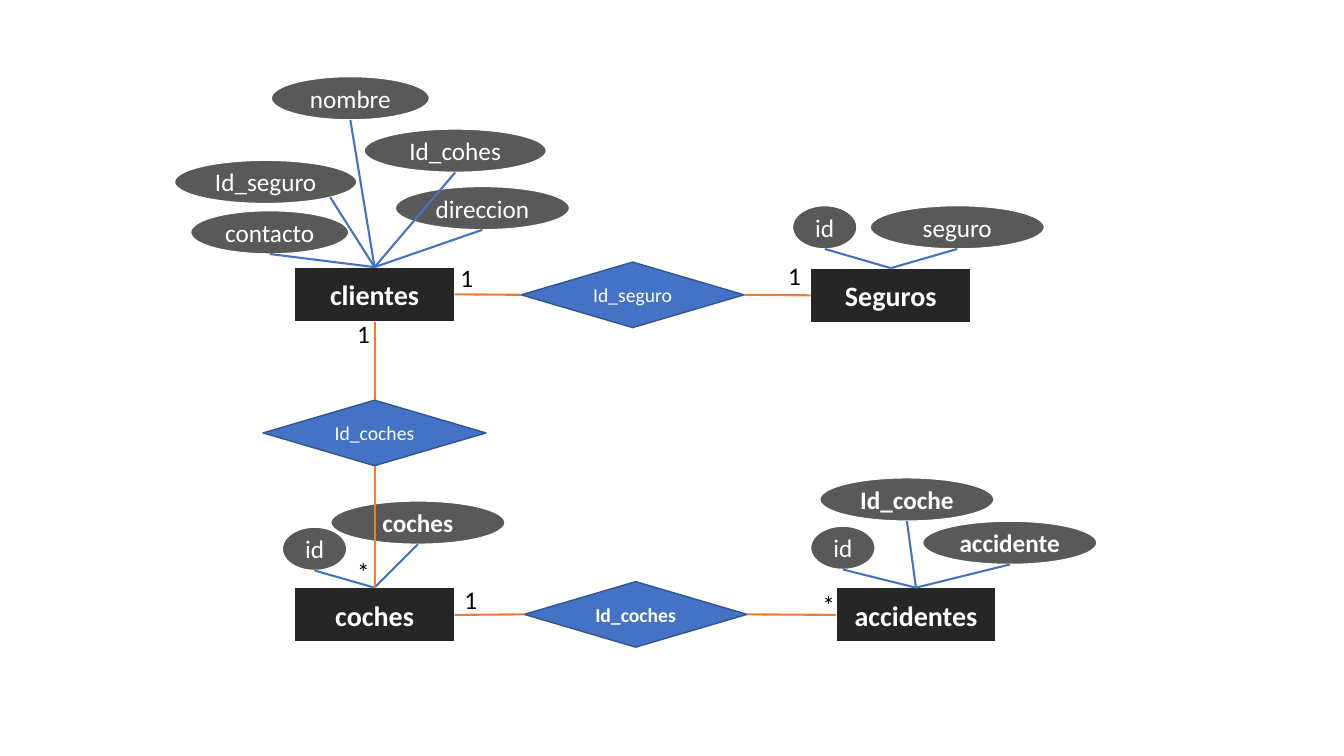
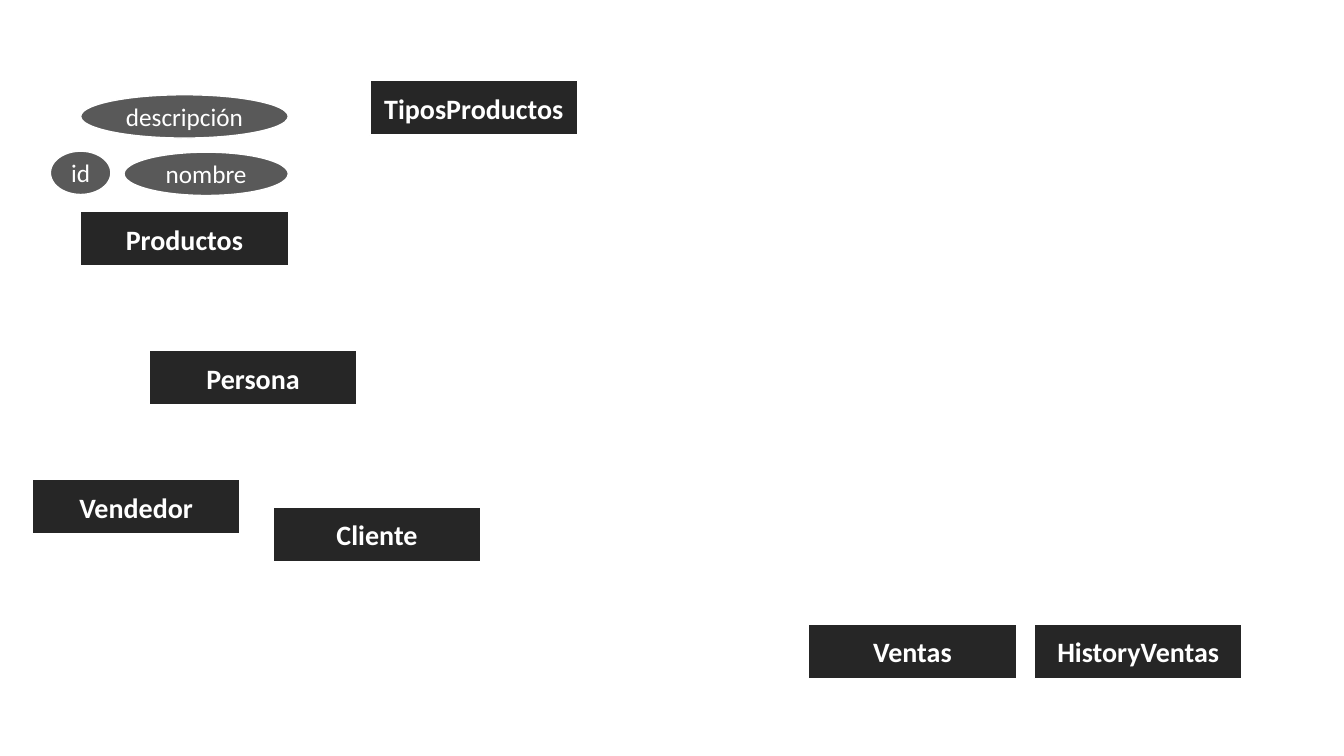
from lxml import etree
from pptx import Presentation
from pptx.dml.color import RGBColor
from pptx.enum.shapes import MSO_CONNECTOR as Connector, MSO_SHAPE as Shape
from pptx.enum.text import MSO_ANCHOR as Anchor, PP_ALIGN as Align
from pptx.oxml.ns import qn
from pptx.util import Inches, Pt

FONT = "Calibri"
WHITE, BLACK = "FFFFFF", "000000"
ENTITY_FILL, ATTRIBUTE_FILL = "262626", "595959"
BLUE, BLUE_EDGE, ORANGE = "4472C4", "325491", "ED7D31"
ENTITY_HEIGHT, ATTRIBUTE_HEIGHT = 0.54, 0.43
DIAMOND_SIZE, LABEL_SIZE = (2.21, 0.65), (0.54, 0.57)
TOP, LEFT, BOTTOM, RIGHT = range(4)
OVAL_BOTTOM, OVAL_BOTTOM_RIGHT = 4, 5


def color(value):
    """Turn a hex string into a colour."""
    return RGBColor.from_string(value)


def write(shape, text, size=18, ink=WHITE, bold=False):
    """Set centred, formatted text in a shape."""
    frame = shape.text_frame
    frame.word_wrap = True
    frame.vertical_anchor = Anchor.MIDDLE
    frame.margin_left = frame.margin_right = 0
    paragraph = frame.paragraphs[0]
    paragraph.alignment = Align.CENTER
    run = paragraph.add_run()
    run.text = text
    run.font.name, run.font.size, run.font.bold = FONT, Pt(size), bold
    run.font.color.rgb = color(ink)


def add_node(slide, kind, box, text, fill=None, line=WHITE, **text_format):
    """Add a shape with text; without a fill it has no outline either."""
    shape = slide.shapes.add_shape(kind, *map(Inches, box))
    shape.shadow.inherit = False
    if fill:
        shape.fill.solid()
        shape.fill.fore_color.rgb = color(fill)
        shape.line.color.rgb = color(line)
        shape.line.width = Pt(1)
    else:
        shape.fill.background()
        shape.line.fill.background()
    write(shape, text, **text_format)
    return shape


def add_link(slide, start, start_site, end, end_site, line):
    """Join two shapes at their connection sites with a straight line."""
    connector = slide.shapes.add_connector(Connector.STRAIGHT, 0, 0, 0, 0)
    connector.begin_connect(start, start_site)
    connector.end_connect(end, end_site)
    connector.line.color.rgb = color(line)
    connector.line.width = Pt(1.5)
    etree.SubElement(connector.element.spPr, qn("a:effectLst"))
    return connector


def link_attribute(slide, oval, entity, site):
    """Join an attribute's lower edge to the top of its entity."""
    connector = add_link(slide, oval, BOTTOM, entity, TOP, BLUE)
    connector.element.find(".//" + qn("a:stCxn")).set("idx", str(site))
    if site == OVAL_BOTTOM_RIGHT:
        diagonal = 0.5 + 0.5 ** 1.5
        connector.begin_x = oval.left + int(oval.width * diagonal)
        connector.begin_y = oval.top + int(oval.height * diagonal)


def add_entity(slide, text, left, top, width, attributes=(), linked=True):
    """Draw an entity and its attributes, placed from the entity's corner."""
    entity = add_node(slide, Shape.RECTANGLE, (left, top, width, ENTITY_HEIGHT), text,
                      fill=ENTITY_FILL, size=20, bold=True)
    ovals = []
    for name, right, down, oval_width, bold, site in attributes:
        box = (left + right, top + down, oval_width, ATTRIBUTE_HEIGHT)
        oval = add_node(slide, Shape.OVAL, box, name, fill=ATTRIBUTE_FILL, bold=bold)
        ovals.append((oval, site))
    if linked:
        for oval, site in ovals:
            link_attribute(slide, oval, entity, site)
    return entity


def add_relationship(slide, text, left, top, ends, bold=False):
    """Draw a diamond, its links to two entities and their cardinalities."""
    diamond = add_node(slide, Shape.DIAMOND, (left, top, *DIAMOND_SIZE), text,
                       fill=BLUE, line=BLUE_EDGE, size=14, bold=bold)
    for entity, entity_site, diamond_site, cardinality, right, down in ends:
        link = add_link(slide, entity, entity_site, diamond, diamond_site, ORANGE)
        corner = (link.begin_x.inches + right, link.begin_y.inches + down)
        add_node(slide, Shape.OVAL, (*corner, *LABEL_SIZE), cardinality, ink=BLACK)


def build_insurance_slide(slide):
    """Draw the model of clients, cars, insurance and accidents."""
    width = 1.59
    insurance = add_entity(slide, "Seguros", 8.04, 2.66, width, [
        ("seguro", 0.59, -0.62, 1.73, False, OVAL_BOTTOM),
        ("id", -0.18, -0.62, 0.64, False, OVAL_BOTTOM)])
    clients = add_entity(slide, "clientes", 2.92, 2.65, width, [
        ("nombre", -0.23, -1.89, 1.57, False, OVAL_BOTTOM),
        ("direccion", 1, -0.8, 1.73, False, OVAL_BOTTOM),
        ("contacto", -1.03, -0.56, 1.57, False, OVAL_BOTTOM),
        ("Id_seguro", -1.19, -1.06, 1.81, False, OVAL_BOTTOM_RIGHT),
        ("Id_cohes", 0.69, -1.37, 1.81, False, OVAL_BOTTOM)])
    cars = add_entity(slide, "coches", 2.92, 5.83, width, [
        ("coches", 0.36, -0.86, 1.73, True, OVAL_BOTTOM),
        ("id", -0.12, -0.6, 0.64, False, OVAL_BOTTOM)])
    accidents = add_entity(slide, "accidentes", 8.29, 5.83, width, [
        ("Id_coche", -0.16, -1.09, 1.73, True, OVAL_BOTTOM),
        ("id", -0.25, -0.61, 0.64, False, OVAL_BOTTOM),
        ("accidente", 0.86, -0.66, 1.73, True, OVAL_BOTTOM)])
    add_relationship(slide, "Id_seguro", 5.17, 2.6, [
        (clients, RIGHT, LEFT, "1", -0.15, -0.45),
        (insurance, LEFT, RIGHT, "1", -0.43, -0.48)])
    add_relationship(slide, "Id_coches", 2.61, 3.97, [
        (clients, BOTTOM, TOP, "1", -0.38, -0.17),
        (cars, TOP, BOTTOM, "*", -0.38, -0.45)])
    add_relationship(slide, "Id_coches", 5.2, 5.77, [
        (cars, RIGHT, LEFT, "1", -0.11, -0.44),
        (accidents, LEFT, RIGHT, "*", -0.34, -0.39)], bold=True)


def build_sales_slide(slide):
    """Draw the entities of the sales model."""
    width = 2.06
    add_entity(slide, "Productos", 0.8, 2.1, width, [
        ("id", -0.3, -0.6, 0.6, False, OVAL_BOTTOM),
        ("nombre", 0.43, -0.59, 1.63, False, OVAL_BOTTOM),
        ("descripción", 0, -1.16, width, False, OVAL_BOTTOM)], linked=False)
    for name, left, top in [
            ("TiposProductos", 3.67, 0.8), ("Ventas", 8.02, 6.19),
            ("HistoryVentas", 10.26, 6.19), ("Persona", 1.48, 3.48),
            ("Vendedor", 0.32, 4.76), ("Cliente", 2.71, 5.03)]:
        add_entity(slide, name, left, top, width)


def main():
    """Build and save the presentation."""
    presentation = Presentation()
    presentation.slide_width, presentation.slide_height = Inches(13.33), Inches(7.5)
    blank = presentation.slide_layouts[6]
    for build in (build_insurance_slide, build_sales_slide):
        build(presentation.slides.add_slide(blank))
    presentation.save("out.pptx")


main()
